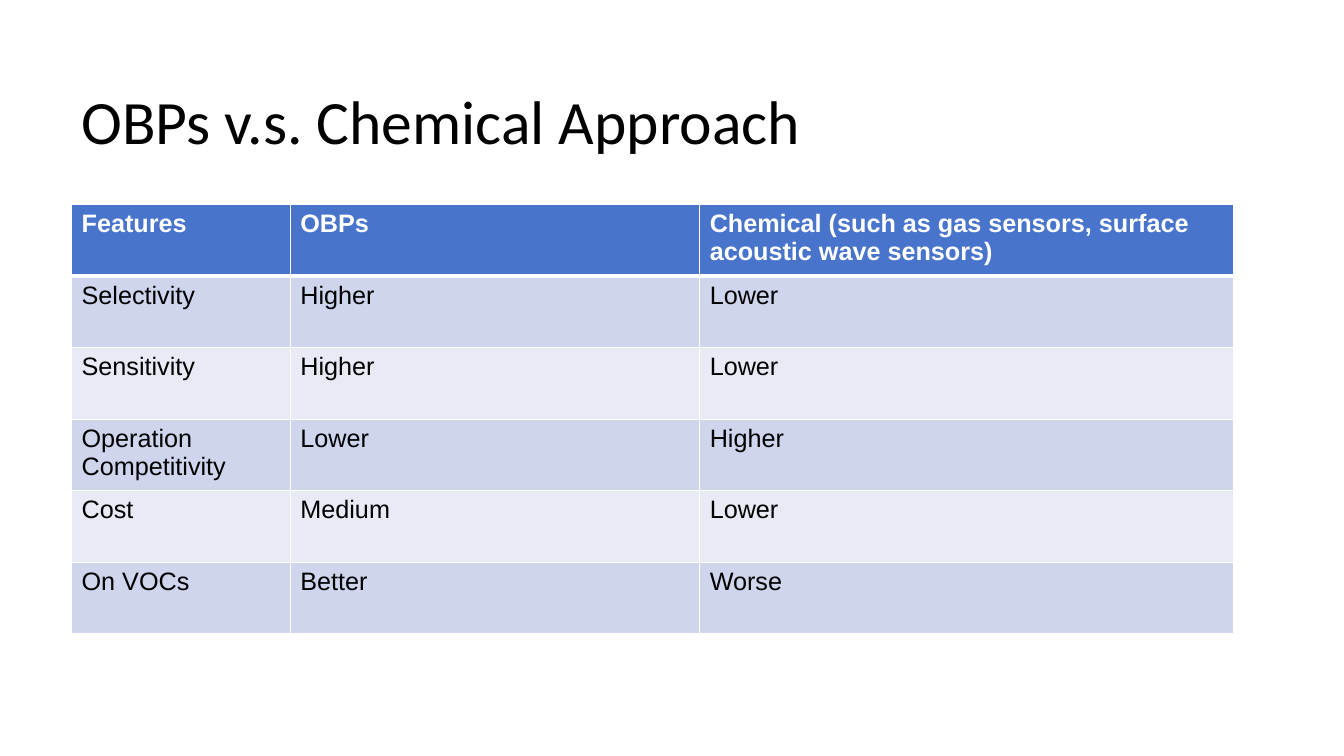
import pptx
import pptx.dml.color
import pptx.enum.text
import pptx.oxml.ns
import pptx.util
from dataclasses import dataclass
from lxml import etree

# Content
TITLE = "OBPs v.s. Chemical Approach"
FEATURES = [
    ("Features", "OBPs", "Chemical (such as gas sensors, surface acoustic wave sensors)"),
    ("Selectivity", "Higher", "Lower"),
    ("Sensitivity", "Higher", "Lower"),
    ("Operation Competitivity", "Lower", "Higher"),
    ("Cost", "Medium", "Lower"),
    ("On VOCs", "Better", "Worse"),
]

# Layout in inches
PAGE_WIDTH, PAGE_HEIGHT = 13.33, 7.5
LEFT = 0.71
TITLE_TOP, TITLE_WIDTH, TITLE_HEIGHT = 0.51, 11.5, 1.45
TABLE_TOP, ROW_HEIGHT = 2.03, 0.71
COLUMN_WIDTHS = (2.17, 4.06, 5.3)


@dataclass(frozen=True)
class Theme:
    title_font: str = "Calibri"
    table_font: str = "Arial"
    title_size: int = 44
    table_size: int = 18
    ink: str = "000000"
    header_ink: str = "FFFFFF"
    header_fill: str = "4874CB"
    bands: tuple = ("CED5EC", "E8EBF6")
    border: str = "FFFFFF"
    thin: int = 1
    thick: int = 3


THEME = Theme()
inches = pptx.util.Inches


def rgb(value):
    return pptx.dml.color.RGBColor.from_string(value)


def add_span(para, text, font, size, color, bold=False):
    span = para.add_run()
    span.text = text
    span.font.name = font
    span.font.size = pptx.util.Pt(size)
    span.font.color.rgb = rgb(color)
    span.font.bold = bold


def add_borders(cell, top, bottom):
    properties = cell._tc.get_or_add_tcPr()
    widths = {"lnL": THEME.thin, "lnR": THEME.thin, "lnT": top, "lnB": bottom}
    for side, width in widths.items():
        line = etree.SubElement(properties, pptx.oxml.ns.qn(f"a:{side}"),
                                w=str(pptx.util.Pt(width)))
        fill = etree.SubElement(line, pptx.oxml.ns.qn("a:solidFill"))
        etree.SubElement(fill, pptx.oxml.ns.qn("a:srgbClr"), val=THEME.border)


def add_title(page):
    title = page.shapes.title
    title.left, title.top = inches(LEFT), inches(TITLE_TOP)
    title.width, title.height = inches(TITLE_WIDTH), inches(TITLE_HEIGHT)
    title.text_frame.vertical_anchor = pptx.enum.text.MSO_ANCHOR.MIDDLE
    para = title.text_frame.paragraphs[0]
    para.alignment = pptx.enum.text.PP_ALIGN.LEFT
    para.line_spacing = 0.9
    add_span(para, TITLE, THEME.title_font, THEME.title_size, THEME.ink)


def add_feature_table(page):
    table = page.shapes.add_table(
        len(FEATURES), len(COLUMN_WIDTHS), inches(LEFT), inches(TABLE_TOP),
        inches(sum(COLUMN_WIDTHS)), inches(ROW_HEIGHT * len(FEATURES))).table
    for column, width in zip(table.columns, COLUMN_WIDTHS):
        column.width = inches(width)

    for row, values in enumerate(FEATURES):
        header = row == 0
        fill = THEME.header_fill if header else THEME.bands[(row - 1) % 2]
        ink = THEME.header_ink if header else THEME.ink
        # The rule under the header is shared with the first feature row
        top = THEME.thick if row == 1 else THEME.thin
        bottom = THEME.thick if header else THEME.thin
        for column, value in enumerate(values):
            cell = table.cell(row, column)
            add_borders(cell, top, bottom)
            cell.fill.solid()
            cell.fill.fore_color.rgb = rgb(fill)
            add_span(cell.text_frame.paragraphs[0], value, THEME.table_font,
                     THEME.table_size, ink, bold=header)


def main():
    deck = pptx.Presentation()
    deck.slide_width, deck.slide_height = inches(PAGE_WIDTH), inches(PAGE_HEIGHT)
    page = deck.slides.add_slide(deck.slide_layouts.get_by_name("Title Only"))
    add_title(page)
    add_feature_table(page)
    deck.save("out.pptx")


if __name__ == "__main__":
    main()
